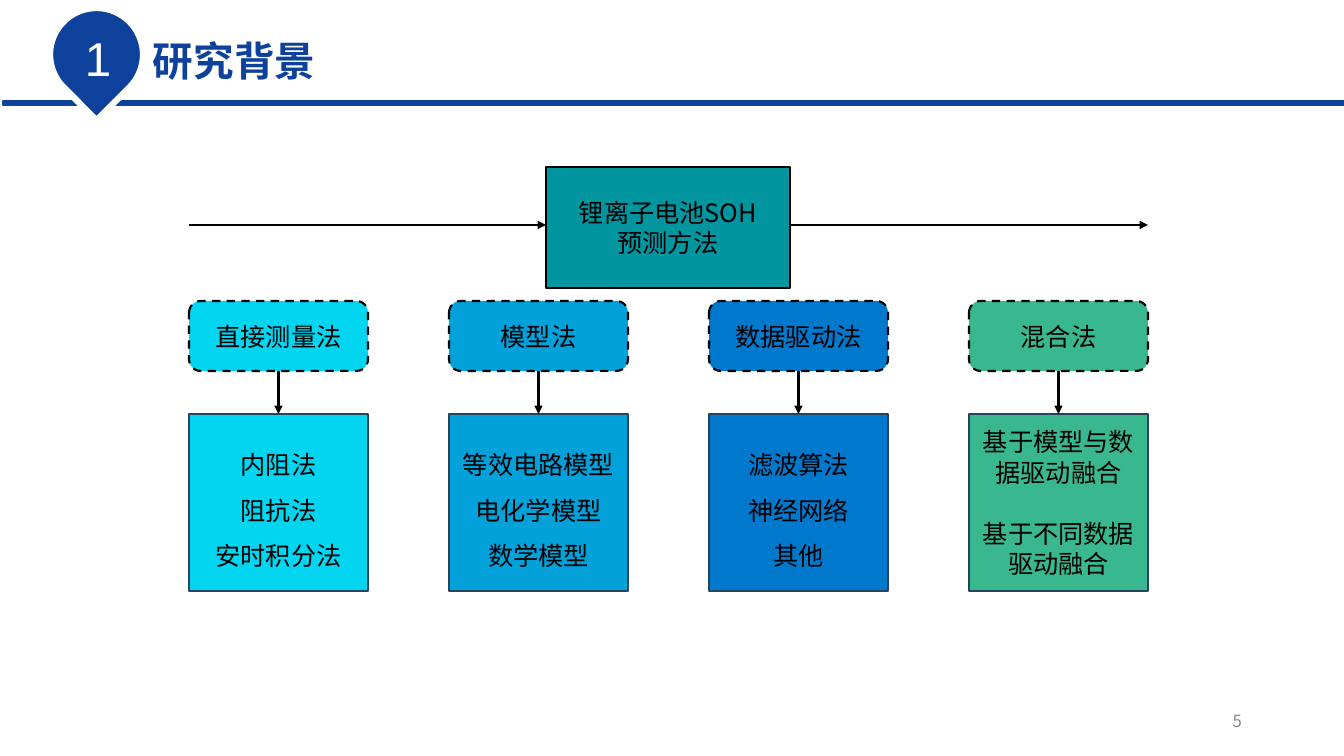
from dataclasses import dataclass

from lxml.etree import SubElement
from pptx import Presentation
from pptx.dml.color import RGBColor
from pptx.enum.dml import MSO_LINE
from pptx.enum.shapes import MSO_CONNECTOR, MSO_SHAPE
from pptx.enum.text import MSO_ANCHOR, PP_ALIGN
from pptx.oxml.ns import qn
from pptx.util import Emu, Pt


@dataclass(frozen=True)
class Theme:
    blue: str = "0E419C"
    white: str = "FFFFFF"
    black: str = "000000"
    grey: str = "898989"
    teal: str = "01969F"
    edge: str = "28445D"
    cjk: str = "Noto Sans CJK SC"
    latin: str = "Arial"
    title: float = 29
    number: float = 33.9
    body: float = 18
    small: float = 12
    stroke: float = 1.5


T = Theme()
EMU_PER_PX = 914400 / 100.8

METHODS = [
    ("直接测量法", "02D5F0", ["内阻法", "阻抗法", "安时积分法"]),
    ("模型法", "02A1DA", ["等效电路模型", "电化学模型", "数学模型"]),
    ("数据驱动法", "0079CC", ["滤波算法", "神经网络", "其他"]),
    ("混合法", "39B78F", ["基于模型与数据驱动融合", "基于不同数据驱动融合"]),
]


def px(n):
    return Emu(round(n * EMU_PER_PX))


def rgb(color):
    return RGBColor.from_string(color)


def write(tf, lines, size=T.body, color=T.black, font=T.cjk, bold=False,
          align=PP_ALIGN.CENTER, anchor=MSO_ANCHOR.MIDDLE, wrap=True,
          spacing=None, gap=0):
    tf.word_wrap = wrap
    tf.vertical_anchor = anchor
    tf.text = "\n".join(lines)
    for i, p in enumerate(tf.paragraphs):
        p.alignment = align
        if spacing:
            p.line_spacing = spacing
        if i and gap:
            p.space_before = Pt(gap)
        for r in p.runs:
            r.font.size = Pt(size)
            r.font.bold = bold
            r.font.color.rgb = rgb(color)
            r.font.name = font
            SubElement(r.font._element, qn("a:ea"), typeface=font)


def add_box(slide, kind, box, fill, line=T.black, width=T.stroke):
    s = slide.shapes.add_shape(kind, *map(px, box))
    s.shadow.inherit = False
    s.fill.solid()
    s.fill.fore_color.rgb = rgb(fill)
    s.line.color.rgb = rgb(line)
    s.line.width = Pt(width)
    return s


def add_label(slide, box, text, **style):
    sp = slide.shapes.add_textbox(*map(px, box))
    write(sp.text_frame, [text], **style)


def add_arrow(slide, x1, y1, x2, y2):
    c = slide.shapes.add_connector(MSO_CONNECTOR.STRAIGHT, *map(px, (x1, y1, x2, y2)))
    c.line.color.rgb = rgb(T.black)
    c.line.width = Pt(T.stroke)
    SubElement(c.line._get_or_add_ln(), qn("a:tailEnd"), type="triangle")
    SubElement(c._element.spPr, qn("a:effectLst"))


def add_header(slide, x, y, w, number, title):
    add_box(slide, MSO_SHAPE.RECTANGLE, (x + 3, y + 101, w - 3, 4), T.blue, T.blue, 2)
    drop = add_box(slide, MSO_SHAPE.TEAR, (x + 50, y + 8, 93, 93), T.blue, T.white, 4.5)
    drop.rotation = 135
    add_label(slide, (x + 143, y + 31, 317, 59), title, size=T.title, color=T.blue,
              bold=True, align=PP_ALIGN.LEFT, anchor=MSO_ANCHOR.TOP)
    add_label(slide, (x + 75, y + 24, 44, 67), number, size=T.number, color=T.white,
              font=T.latin, anchor=MSO_ANCHOR.TOP, wrap=False)


def add_topic(slide, x, y, w, h, lines):
    box_w = 244
    left = x + (w - box_w) // 2
    middle = y + 58
    add_arrow(slide, x, middle, left, middle)
    s = add_box(slide, MSO_SHAPE.RECTANGLE, (left, y, box_w, h), T.teal)
    write(s.text_frame, lines)
    add_arrow(slide, left + box_w, middle, x + w, middle)


def add_method(slide, x, y, w, h, name, fill, items):
    head_h, list_h = 70, 177
    list_y = y + h - list_h
    head = add_box(slide, MSO_SHAPE.ROUNDED_RECTANGLE, (x, y, w, head_h), fill)
    head.line.dash_style = MSO_LINE.DASH
    write(head.text_frame, [name])
    body = add_box(slide, MSO_SHAPE.RECTANGLE, (x, list_y, w, list_h), fill, T.edge)
    layout = {"spacing": 1.5} if len(items) > 2 else {"gap": 22}
    write(body.text_frame, items, **layout)
    add_arrow(slide, x + w / 2, y + head_h, x + w / 2, list_y)


def add_methods(slide, x, y, w, h):
    col_w = 179
    pitch = (w - col_w) / (len(METHODS) - 1)
    for i, method in enumerate(METHODS):
        add_method(slide, x + i * pitch, y, col_w, h, *method)


def main():
    prs = Presentation()
    prs.slide_width, prs.slide_height = px(1344), px(756)
    slide = prs.slides.add_slide(prs.slide_layouts[6])
    add_header(slide, 0, 0, 1344, "1", "研究背景")
    add_topic(slide, 189, 167, 959, 121, ["锂离子电池SOH", "预测方法"])
    add_methods(slide, 189, 301, 959, 290)
    add_label(slide, (950, 701, 302, 40), "5", size=T.small, color=T.grey,
              align=PP_ALIGN.RIGHT)
    prs.save("out.pptx")


if __name__ == "__main__":
    main()
